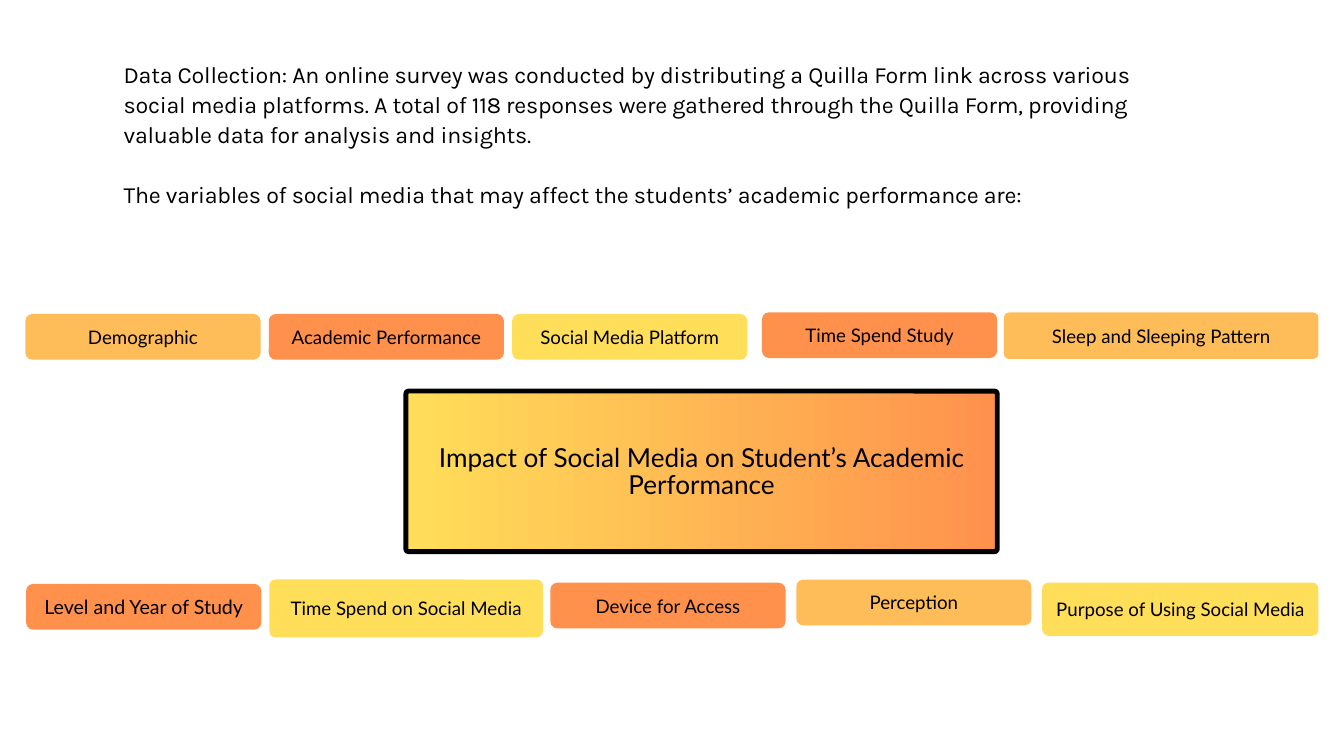
from pptx import Presentation
from pptx.dml.color import RGBColor
from pptx.enum import shapes, text
from pptx.util import Pt

BLACK = RGBColor(0x00, 0x00, 0x00)
YELLOW = RGBColor(0xFF, 0xDE, 0x59)
AMBER = RGBColor(0xFF, 0xBD, 0x59)
ORANGE = RGBColor(0xFF, 0x91, 0x4D)

INTRO = [
    "Data Collection: An online survey was conducted by distributing a Quilla Form link "
    "across various social media platforms. A total of 118 responses were gathered through "
    "the Quilla Form, providing valuable data for analysis and insights.",
    "The variables of social media that may affect the students’ academic performance are:",
]
TOPIC = "Impact of Social Media on Student’s Academic Performance"

# Variables: label, fill, left, top, width, height, radius, text size
W, H, R = 252, 49, 7.5
VARIABLES = [
    ("Demographic", AMBER, 27.2, 336.4, W, H, R, 20),
    ("Academic Performance", ORANGE, 288, 336.4, W, H, R, 20),
    ("Social Media Platform", YELLOW, 548.8, 336.4, W, H, R, 20),
    ("Time Spend Study", ORANGE, 816.4, 334.6, W, H, R, 20),
    ("Sleep and Sleeping Pattern", AMBER, 1075.6, 334.8, 337, 49.7, 5.4, 20),
    ("Level and Year of Study", ORANGE, 28, 625.6, W, H, R, 21),
    ("Time Spend on Social Media", YELLOW, 288.7, 620.9, 293, 62, 6.4, 20),
    ("Device for Access", ORANGE, 589.7, 624.3, W, H, R, 20),
    ("Perception", AMBER, 853.2, 621, W, H, R, 20),
    ("Purpose of Using Social Media", YELLOW, 1116.7, 624.2, 296, 57, 6.5, 20),
]


def set_all(obj, **values):
    for name, value in values.items():
        setattr(obj, name, value)


def write(p, words, font, size, spacing):
    p.line_spacing = Pt(spacing)
    r = p.add_run()
    r.text = words
    set_all(r.font, name=font, size=Pt(size))
    r.font.color.rgb = BLACK
    return r


def add_box(s, words, box, radius, inset, size, spacing):
    sp = s.shapes.add_shape(shapes.MSO_SHAPE.ROUNDED_RECTANGLE, *map(Pt, box))
    sp.shadow.inherit = False
    sp.adjustments[0] = radius / min(box[2:])
    tf = sp.text_frame
    set_all(tf, word_wrap=True, vertical_anchor=text.MSO_ANCHOR.MIDDLE,
            margin_left=Pt(inset), margin_right=Pt(inset),
            margin_top=Pt(inset), margin_bottom=Pt(inset))
    p = tf.paragraphs[0]
    p.alignment = text.PP_ALIGN.CENTER
    write(p, words, "Lato", size, spacing)
    return sp


prs = Presentation()
set_all(prs, slide_width=Pt(1440), slide_height=Pt(810))
s = prs.slides.add_slide(prs.slide_layouts[6])

# Introduction
tf = s.shapes.add_textbox(Pt(132.5), Pt(62), Pt(1132), Pt(193.8)).text_frame
set_all(tf, word_wrap=True, auto_size=text.MSO_AUTO_SIZE.SHAPE_TO_FIT_TEXT,
        margin_left=0, margin_right=0, margin_top=0, margin_bottom=0)
for i, words in enumerate(INTRO):
    p = tf.add_paragraph() if i else tf.paragraphs[0]
    if i:
        p.space_before = Pt(32.3)
    r = write(p, words, "Karla", 24.9, 32.3)
    r.font._element.set("spc", "-20")

# Variable boxes above and below the topic
for label, color, x, y, w, h, radius, size in VARIABLES:
    sp = add_box(s, label, (x, y, w, h), radius, 4.3, size, size * 1.2)
    sp.fill.solid()
    sp.fill.fore_color.rgb = color
    sp.line.fill.background()

# Central topic with a left-to-right gradient
sp = add_box(s, TOPIC, (434.9, 419, 633.6, 172.1), 3, 10.8, 28, 28.8)
sp.text_frame.margin_top = Pt(14.4)
sp.fill.gradient()
sp.fill.gradient_angle = 0
for stop, position, color in zip(sp.fill.gradient_stops, (0, 1), (YELLOW, ORANGE)):
    stop.position = position
    stop.color.rgb = color
sp.line.color.rgb = BLACK
sp.line.width = Pt(5.25)

prs.save("out.pptx")
